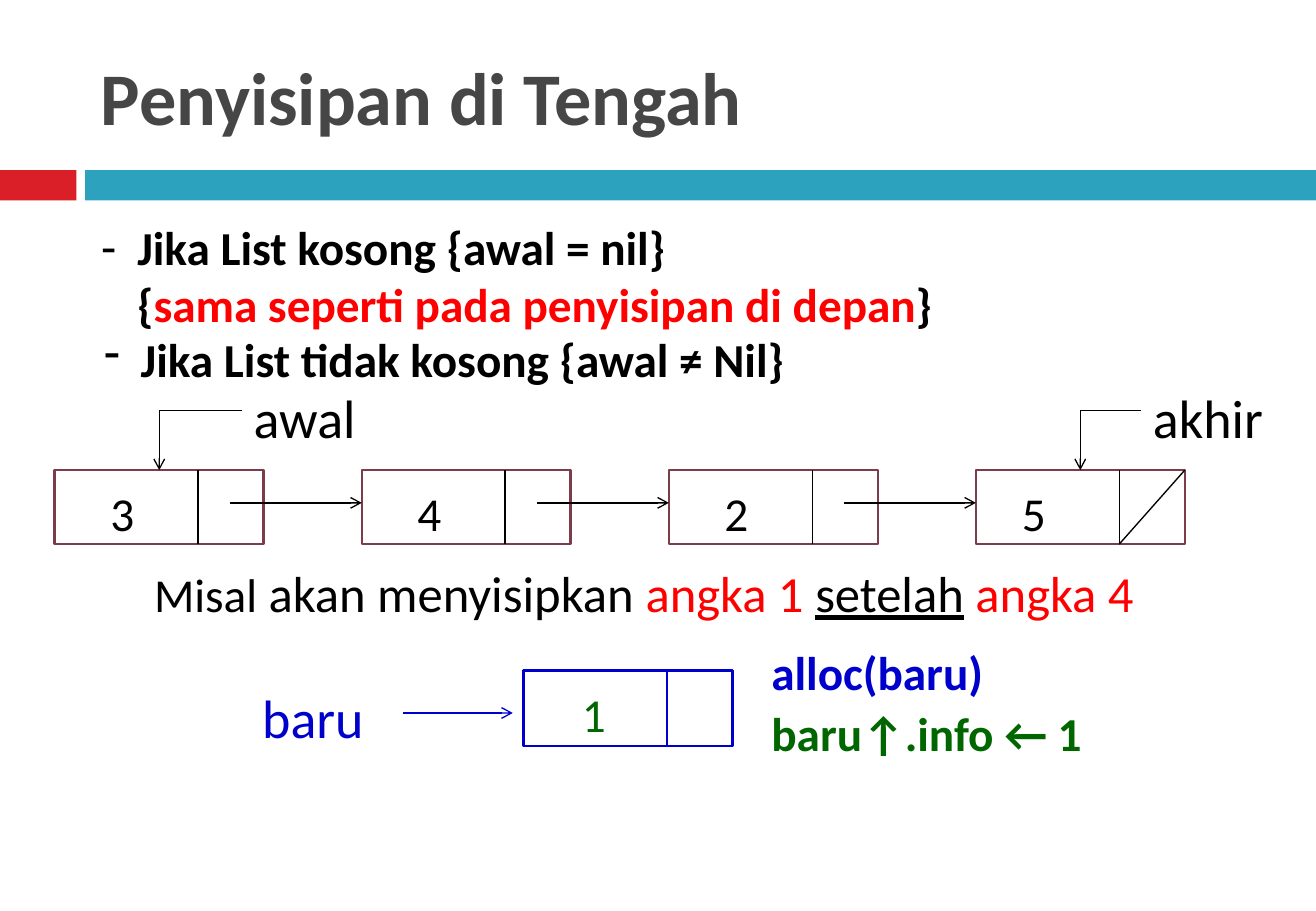
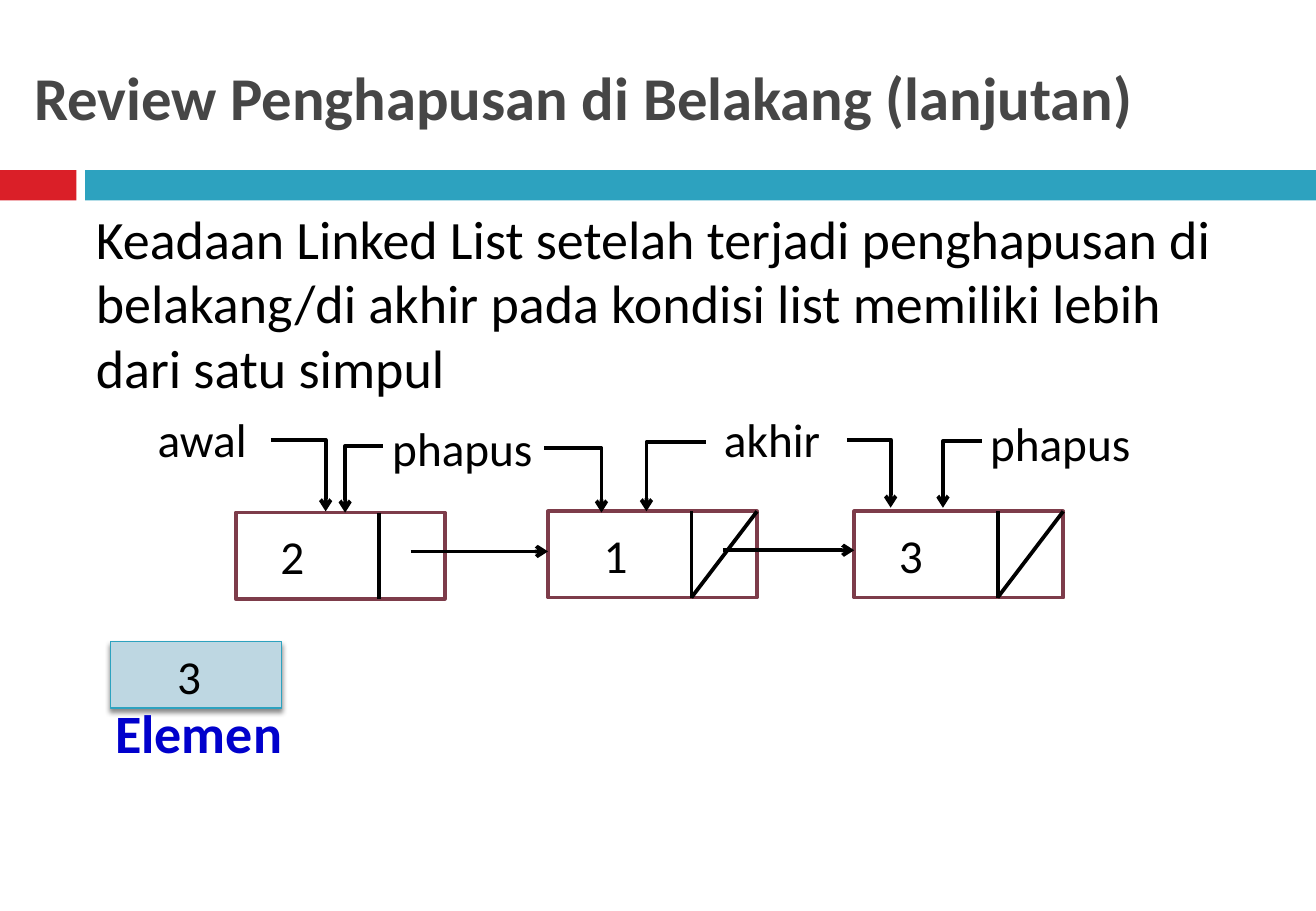
"""Build two slides on inserting into and deleting from a linked list."""
from dataclasses import dataclass
from typing import NamedTuple

from lxml.etree import SubElement
from pptx import Presentation
from pptx.dml.color import RGBColor
from pptx.enum.shapes import MSO_CONNECTOR, MSO_SHAPE
from pptx.enum.text import MSO_ANCHOR, MSO_AUTO_SIZE, PP_ALIGN
from pptx.oxml.ns import qn
from pptx.util import Inches, Pt

FONT = "Calibri"
COLORS = {
    "white": "FFFFFF", "black": "000000", "title": "464646",
    "band_red": "DA1F28", "band_teal": "2DA2BF", "node": "7D3C4A",
    "blue": "0000CC", "green": "006600", "red": "FF0000", "element": "BED7E2",
}
NODE_W, DIVIDER_DX, LINK_DX = 1.72, 1.18, 1.44


class Span(NamedTuple):
    text: str
    color: str = "black"
    size: float = 28
    bold: bool = False
    underline: bool = False


class Label(NamedTuple):
    x: float
    y: float
    span: Span
    width: float = 1.6


class Arrow(NamedTuple):
    x1: float
    y1: float
    x2: float
    y2: float
    bent: bool = False


@dataclass
class Node:
    x: float
    y: float
    value: str
    value_dx: float = 0.36
    slash: bool = False
    height: float = 0.61
    border: str = "node"
    ink: str = "black"
    value_color: str = "black"


def rgb(name):
    return RGBColor.from_string(COLORS[name])


def format_run(r, span: Span) -> None:
    f = r.font
    f.name, f.size, f.bold, f.underline = FONT, Pt(span.size), span.bold, span.underline
    f.color.rgb = rgb(span.color)


def fill_paragraph(p, spans: list[Span]) -> None:
    for span in spans:
        r = p.add_run()
        r.text = span.text
        format_run(r, span)


def indent(p, dash: bool) -> None:
    pPr = p._p.get_or_add_pPr()
    pPr.set("marL", str(Inches(0.3)))
    pPr.set("indent", str(Inches(-0.3) if dash else 0))
    if dash:
        SubElement(pPr, qn("a:buChar")).set("char", "-")
    else:
        SubElement(pPr, qn("a:buNone"))
    p.space_before = Pt(0)


def place(s, x: float, y: float, w: float, h: float) -> None:
    s.left, s.top, s.width, s.height = Inches(x), Inches(y), Inches(w), Inches(h)


def add_text(slide, x: float, y: float, w: float, h: float, spans: list[Span]):
    s = slide.shapes.add_textbox(Inches(x), Inches(y), Inches(w), Inches(h))
    s.text_frame.word_wrap = True
    p = s.text_frame.paragraphs[0]
    fill_paragraph(p, spans)
    return p


def add_label(slide, label: Label) -> None:
    add_text(slide, label.x, label.y, label.width, 0.55, [label.span])


def add_box(slide, x: float, y: float, w: float, h: float, fill: str,
            border: str = "", weight: float = 1.5):
    s = slide.shapes.add_shape(MSO_SHAPE.RECTANGLE, Inches(x), Inches(y), Inches(w), Inches(h))
    s.shadow.inherit = False
    s.fill.solid()
    s.fill.fore_color.rgb = rgb(fill)
    if border:
        s.line.color.rgb = rgb(border)
        s.line.width = Pt(weight)
    else:
        s.line.fill.background()
    return s


def add_line(slide, x1: float, y1: float, x2: float, y2: float, ink: str, weight: float):
    s = slide.shapes.add_connector(
        MSO_CONNECTOR.STRAIGHT, Inches(x1), Inches(y1), Inches(x2), Inches(y2))
    s.line.color.rgb = rgb(ink)
    s.line.width = Pt(weight)
    SubElement(s.element.spPr, qn("a:effectLst"))
    return s


def add_arrow(slide, a: Arrow, weight: float, ink: str = "black") -> None:
    s = add_line(slide, a.x1, a.y1, a.x2, a.y2, ink, weight)
    SubElement(s.line._get_or_add_ln(), qn("a:tailEnd")).set("type", "arrow")
    if not a.bent:
        return
    spPr = s.element.spPr
    spPr.find(qn("a:prstGeom")).set("prst", "bentConnector2")
    if a.x2 < a.x1:
        xfrm = spPr.find(qn("a:xfrm"))
        del xfrm.attrib["flipH"]
        xfrm.set("rot", "10800000")
        xfrm.set("flipV", "1")


def add_node(slide, n: Node, border_weight: float, weight: float) -> None:
    add_box(slide, n.x, n.y, NODE_W, n.height, "white", n.border, border_weight)
    divider, bottom = n.x + DIVIDER_DX, n.y + n.height
    add_line(slide, divider, n.y, divider, bottom, n.ink, weight)
    if n.slash:
        add_line(slide, n.x + NODE_W, n.y, divider, bottom, n.ink, weight)
    add_label(slide, Label(n.x + n.value_dx, n.y + 0.07, Span(n.value, n.value_color), 0.63))


def add_chain(slide, nodes: list[Node], arrows: list[Arrow], labels: list[Label],
              border_weight: float, weight: float, link_dy: float) -> None:
    for n in nodes:
        add_node(slide, n, border_weight, weight)
    for n, following in zip(nodes, nodes[1:]):
        y = n.y + link_dy
        add_arrow(slide, Arrow(n.x + LINK_DX, y, following.x, y), weight)
    for a in arrows:
        add_arrow(slide, a, weight)
    for label in labels:
        add_label(slide, label)


def add_slide(prs, layout: int, title: str, x: float, size: float):
    slide = prs.slides.add_slide(prs.slide_layouts[layout])
    s = slide.shapes.title
    place(s, x, 0.25, 9.66, 1.08)
    tf = s.text_frame
    tf.text = title
    tf.auto_size = MSO_AUTO_SIZE.NONE
    tf.vertical_anchor = MSO_ANCHOR.MIDDLE
    p = tf.paragraphs[0]
    p.alignment = PP_ALIGN.LEFT
    format_run(p.runs[0], Span(title, "title", size, True))
    return slide


def add_master_bands(prs, slide) -> None:
    for x, w, color in ((0, 0.63, "band_red"), (0.7, 10.13, "band_teal")):
        band = add_box(slide, x, 1.4, w, 0.25, color)
        prs.slide_master.shapes.element.append(band.element)


def build_insertion(prs):
    slide = add_slide(prs, 1, "Penyisipan di Tengah", 0.73, 44)
    body = slide.placeholders[1]
    place(body, 0.73, 1.75, 9.66, 1.08)
    tf = body.text_frame
    tf.auto_size = MSO_AUTO_SIZE.NONE
    empty_case, same_case = tf.paragraphs[0], tf.add_paragraph()
    indent(empty_case, True)
    indent(same_case, False)
    fill_paragraph(empty_case, [Span("Jika List kosong {awal = nil}", bold=True)])
    fill_paragraph(same_case, [
        Span("{", bold=True),
        Span("sama seperti pada penyisipan di depan", "red", bold=True),
        Span("}", bold=True)])
    filled_case = add_text(slide, 0.76, 2.67, 9.66, 0.58,
                           [Span("Jika List tidak kosong {awal ≠ Nil}", bold=True)])
    indent(filled_case, True)

    nodes = [Node(0.45 + 2.527 * i, 3.87, value) for i, value in enumerate("3425")]
    nodes[-1].slash, nodes[-1].value_dx = True, 0.28
    add_chain(
        slide, nodes,
        [Arrow(1.99, 3.38, 1.31, 3.87, True), Arrow(9.39, 3.38, 8.89, 3.87, True)],
        [Label(1.99, 3.12, Span("awal", size=32)),
         Label(9.39, 3.12, Span("akhir", size=32), 1.26)],
        1.5, 0.79, 0.27)

    add_text(slide, 1.17, 4.58, 9.66, 0.67, [
        Span("Misal"), Span(" akan menyisipkan ", size=30), Span("angka 1 ", "red", 30),
        Span("setelah", size=30, underline=True), Span(" angka 4", "red", 30)])
    add_node(slide, Node(4.31, 5.52, "1", 0.38, height=0.62, border="blue", ink="blue",
                         value_color="green"), 1.5, 0.79)
    add_arrow(slide, Arrow(3.32, 5.87, 4.22, 5.87), 0.79, "blue")
    for label in (Label(2.06, 5.59, Span("baru", "blue", 32), 1.26),
                  Label(6.25, 5.25, Span("alloc(baru)", "blue", bold=True), 3.67),
                  Label(6.25, 5.75, Span("baru↑.info ← 1", "green", bold=True), 3.67)):
        add_label(slide, label)
    return slide


def add_element_box(slide) -> None:
    s = add_box(slide, 0.91, 5.28, 1.41, 0.55, "element", "band_teal", 0.79)
    effects = s.element.spPr.find(qn("a:effectLst"))
    shadow = SubElement(effects, qn("a:outerShdw"), blurRad=str(Pt(3)), dist=str(Pt(2.4)),
                        dir="5400000", rotWithShape="0")
    color = SubElement(shadow, qn("a:srgbClr"), val=COLORS["black"])
    SubElement(color, qn("a:alpha"), val="45000")
    add_label(slide, Label(1.36, 5.28, Span("3"), 0.52))
    add_label(slide, Label(0.85, 5.71, Span("Elemen", "blue", 32, True), 1.65))


def build_deletion(prs) -> None:
    slide = add_slide(prs, 5, "Review Penghapusan di Belakang (lanjutan)", 0.18, 36)
    add_text(slide, 0.69, 1.64, 9.69, 1.72, [Span(
        "Keadaan Linked List setelah terjadi penghapusan di belakang/di akhir "
        "pada kondisi list memiliki lebih dari satu simpul", size=32)])
    nodes = [Node(1.94, 4.22, "2", 0.27, height=0.71),
             Node(4.51, 4.21, "1", 0.36, True, 0.71),
             Node(7.03, 4.21, "3", 0.27, True, 0.71)]
    pointers = [(2.23, 3.62, 2.68, 4.21), (3.15, 3.67, 2.84, 4.22), (4.48, 3.69, 4.95, 4.22),
                (5.81, 3.64, 5.32, 4.21), (6.97, 3.62, 7.33, 4.18), (8.08, 3.63, 7.76, 4.18)]
    names = [(1.2, 3.33, "awal"), (3.13, 3.4, "phapus"),
             (5.86, 3.33, "akhir"), (8.05, 3.36, "phapus")]
    add_chain(slide, nodes, [Arrow(*ends, True) for ends in pointers],
              [Label(x, y, Span(name)) for x, y, name in names], 2.25, 2.25, 0.32)
    add_element_box(slide)


def main() -> None:
    prs = Presentation()
    prs.slide_width, prs.slide_height = Inches(10.83), Inches(7.5)
    add_master_bands(prs, build_insertion(prs))
    build_deletion(prs)
    prs.save("out.pptx")


if __name__ == "__main__":
    main()
